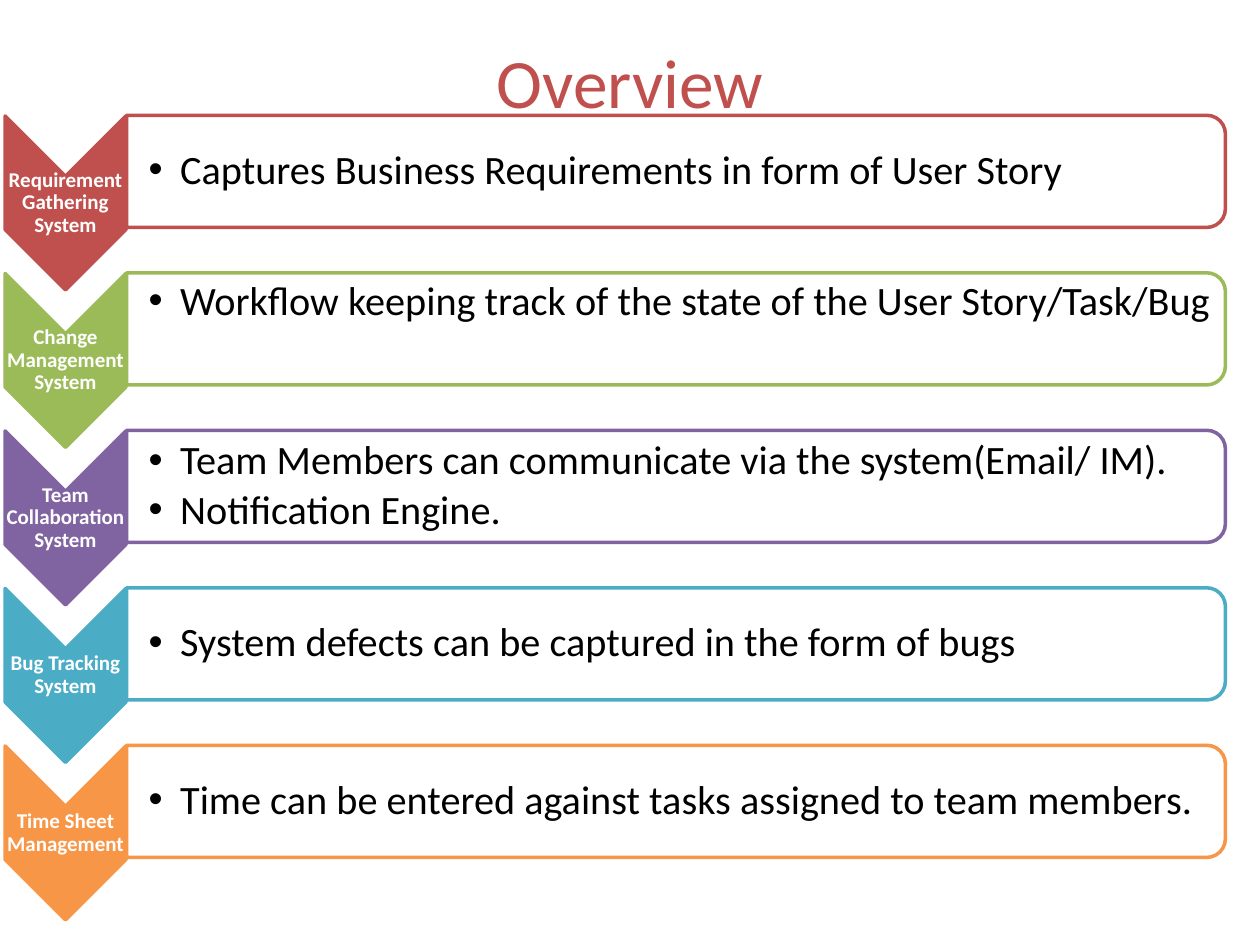
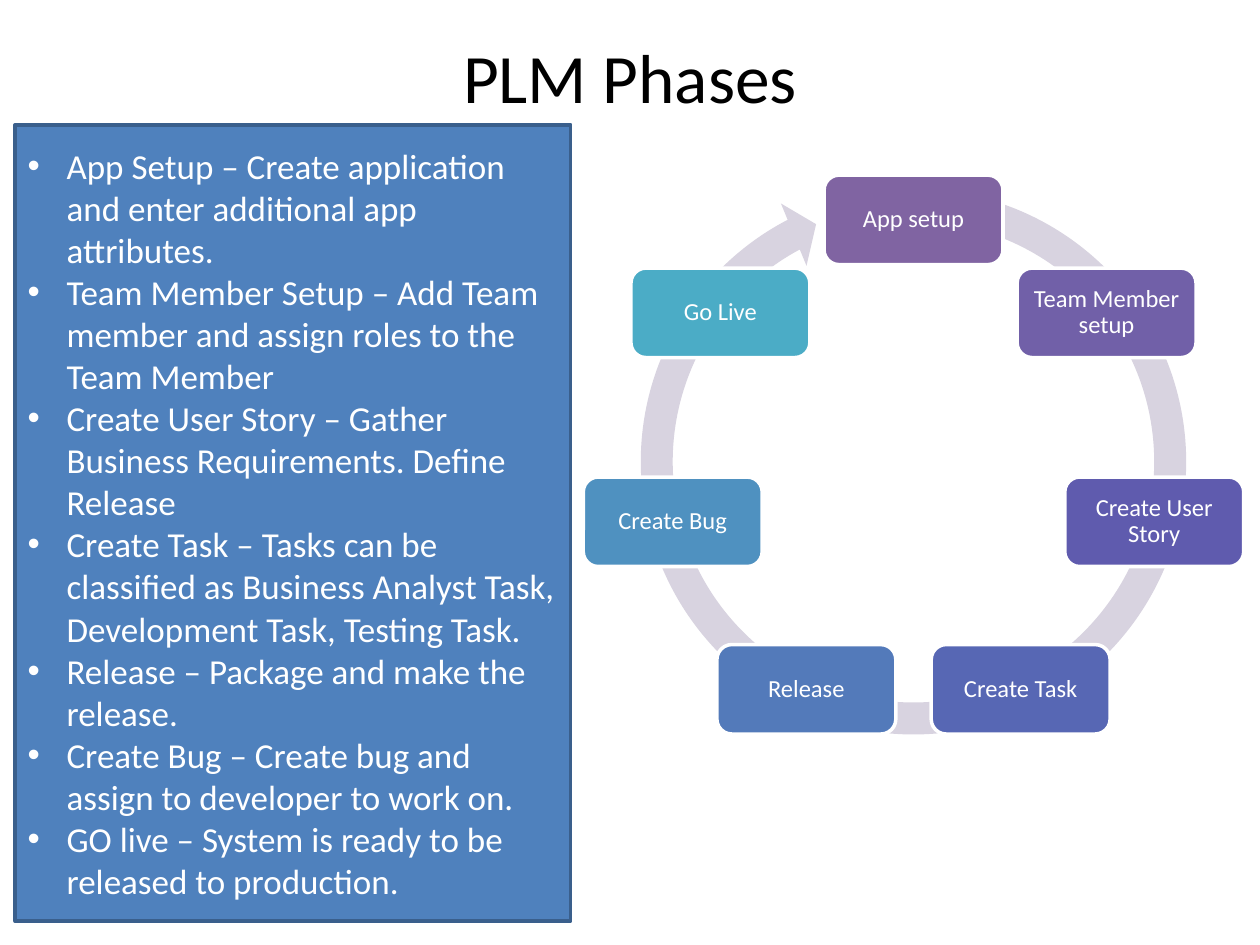
from math import cos, pi, sin

from lxml.etree import SubElement
from pptx import Presentation
from pptx.dml.color import RGBColor
from pptx.enum.shapes import MSO_SHAPE
from pptx.enum.text import MSO_ANCHOR, MSO_AUTO_SIZE, PP_ALIGN
from pptx.oxml.ns import qn
from pptx.util import Inches, Pt

WIDTH, HEIGHT = Inches(10), Inches(7.5)
COLUMN, ROW = WIDTH / 100, HEIGHT / 75
FONT = "Calibri"

BLACK = RGBColor(0x00, 0x00, 0x00)
WHITE = RGBColor(0xFF, 0xFF, 0xFF)
RED = RGBColor(0xC0, 0x50, 0x4D)
GREEN = RGBColor(0x9B, 0xBB, 0x59)
PURPLE = RGBColor(0x80, 0x64, 0xA2)
TEAL = RGBColor(0x4B, 0xAC, 0xC6)
ORANGE = RGBColor(0xF7, 0x96, 0x46)
BLUE = RGBColor(0x4F, 0x81, 0xBD)
DARK_BLUE = RGBColor(0x3A, 0x5F, 0x8C)
LILAC = RGBColor(0xD8, 0xD3, 0xE0)
VIOLET = RGBColor(0x71, 0x60, 0xA8)
INDIGO = RGBColor(0x5F, 0x5B, 0xAE)
COBALT = RGBColor(0x57, 0x67, 0xB4)
AZURE = RGBColor(0x53, 0x7A, 0xBA)
SKY = RGBColor(0x4F, 0x91, 0xC0)

SYSTEMS = [
    ("Requirement Gathering System", RED, MSO_ANCHOR.MIDDLE,
     ["Captures Business Requirements in form of User Story"]),
    ("Change Management System", GREEN, MSO_ANCHOR.TOP,
     ["Workflow keeping track of the state of the User Story/Task/Bug"]),
    ("Team Collaboration System", PURPLE, MSO_ANCHOR.MIDDLE,
     ["Team Members can communicate via the system(Email/ IM).", "Notification Engine."]),
    ("Bug Tracking System", TEAL, MSO_ANCHOR.MIDDLE,
     ["System defects can be captured in the form of bugs"]),
    ("Time Sheet Management", ORANGE, MSO_ANCHOR.MIDDLE,
     ["Time can be entered against tasks assigned to team members."]),
]
FIRST_SYSTEM_ROW, SYSTEM_PITCH = 13.6, 12.5

PHASES = [
    ("App setup", PURPLE),
    ("Team Member setup", VIOLET),
    ("Create User Story", INDIGO),
    ("Create Task", COBALT),
    ("Release", AZURE),
    ("Create Bug", SKY),
    ("Go Live", TEAL),
]
RING_COLUMN, RING_ROW, RING_RADIUS = 72.5, 37.05, 19.6

PHASE_NOTES = [
    "App Setup – Create application and enter additional app attributes.",
    "Team Member Setup – Add Team member and assign roles to the Team Member",
    "Create User Story – Gather Business Requirements. Define Release",
    "Create Task – Tasks can be classified as Business Analyst Task, "
    "Development Task, Testing Task.",
    "Release – Package and make the release.",
    "Create Bug – Create bug and assign to developer to work on.",
    "GO live – System is ready to be released to production.",
]


def centred(column, row, columns, rows):
    return (round((column - columns / 2) * COLUMN), round((row - rows / 2) * ROW),
            round(columns * COLUMN), round(rows * ROW))


def add_bullet(para, indent):
    properties = para._p.get_or_add_pPr()
    properties.set("marL", str(Inches(indent)))
    properties.set("indent", str(-Inches(indent)))
    SubElement(properties, qn("a:buFont")).set("typeface", "Arial")
    SubElement(properties, qn("a:buChar")).set("char", "•")


def write(box, lines, size, color=WHITE, bold=False, align=PP_ALIGN.LEFT,
          anchor=MSO_ANCHOR.MIDDLE, insets=None, spacing=None, after=0, indent=None):
    frame = box.text_frame
    frame.word_wrap = True
    frame.auto_size = MSO_AUTO_SIZE.NONE
    frame.vertical_anchor = anchor
    if insets:
        left, other = insets
        frame.margin_left = Inches(left)
        frame.margin_top = frame.margin_right = frame.margin_bottom = Inches(other)
    for index, line in enumerate(lines):
        para = frame.add_paragraph() if index else frame.paragraphs[0]
        para.alignment = align
        if spacing:
            para.line_spacing = spacing
            para.space_after = Pt(after * size)
        if indent:
            add_bullet(para, indent)
        span = para.add_run()
        span.text = line
        span.font.name = FONT
        span.font.size = Pt(size)
        span.font.bold = bold
        span.font.color.rgb = color


def add_figure(page, kind, place, fill, line=None, rotation=0):
    figure = page.shapes.add_shape(kind, *place)
    figure.shadow.inherit = False
    figure.rotation = rotation
    figure.fill.solid()
    figure.fill.fore_color.rgb = fill
    if line is None:
        figure.line.fill.background()
    else:
        figure.line.color.rgb = line
        figure.line.width = Pt(2)
    return figure


def add_page(deck, title, color, rows):
    page = deck.slides.add_slide(deck.slide_layouts[5])
    box = page.shapes.title
    box.left, box.top, box.width, box.height = centred(50, 3 + rows / 2, 90, rows)
    write(box, [title], 39.6, color=color, align=PP_ALIGN.CENTER)
    return page


def add_system(page, row, name, color, anchor, points):
    add_figure(page, MSO_SHAPE.CHEVRON, centred(5.2, row + 2.5, 13.8, 9.6),
               color, color, rotation=90)
    label = page.shapes.add_textbox(*centred(5.2, row + 2.5, 9.6, 4.1))
    write(label, [name], 12, bold=True, align=PP_ALIGN.CENTER, insets=(0.01, 0.01),
          spacing=0.9, after=0.35)
    add_figure(page, MSO_SHAPE.ROUND_2_SAME_RECTANGLE, centred(53.65, row, 8.9, 87.2),
               WHITE, color, rotation=90)
    band_text = page.shapes.add_textbox(*centred(53.4, row, 86.8, 8.1))
    write(band_text, points, 23, color=BLACK, anchor=anchor, insets=(0.18, 0.02),
          spacing=0.9, after=0.15, indent=0.25)


def add_phase_ring(page):
    arrow = add_figure(page, MSO_SHAPE.CIRCULAR_ARROW,
                       centred(RING_COLUMN, 36.65, 46.1, 46.1), LILAC)
    for index, value in enumerate([0.055, 3.307, 145.32, 169.409, 0.058]):
        arrow.adjustments[index] = value
    for index, (name, color) in enumerate(PHASES):
        angle = 2 * pi * index / len(PHASES)
        place = centred(RING_COLUMN + RING_RADIUS * sin(angle),
                        RING_ROW - RING_RADIUS * cos(angle), 14.2, 7.1)
        node = add_figure(page, MSO_SHAPE.ROUNDED_RECTANGLE, place, color, WHITE)
        write(node, [name], 14, align=PP_ALIGN.CENTER, insets=(0.06, 0.06),
              spacing=0.9, after=0.35)


def add_phase_notes(page):
    panel = add_figure(page, MSO_SHAPE.RECTANGLE, centred(23.25, 41.5, 44.1, 63.2),
                       BLUE, DARK_BLUE)
    write(panel, PHASE_NOTES, 20, indent=0.31)


def main():
    deck = Presentation()
    deck.slide_width, deck.slide_height = WIDTH, HEIGHT

    overview = add_page(deck, "Overview", RED, 6.9)
    for index, system in enumerate(SYSTEMS):
        add_system(overview, FIRST_SYSTEM_ROW + SYSTEM_PITCH * index, *system)

    phases = add_page(deck, "PLM Phases", BLACK, 6.1)
    add_phase_ring(phases)
    add_phase_notes(phases)

    deck.save("out.pptx")


if __name__ == "__main__":
    main()
